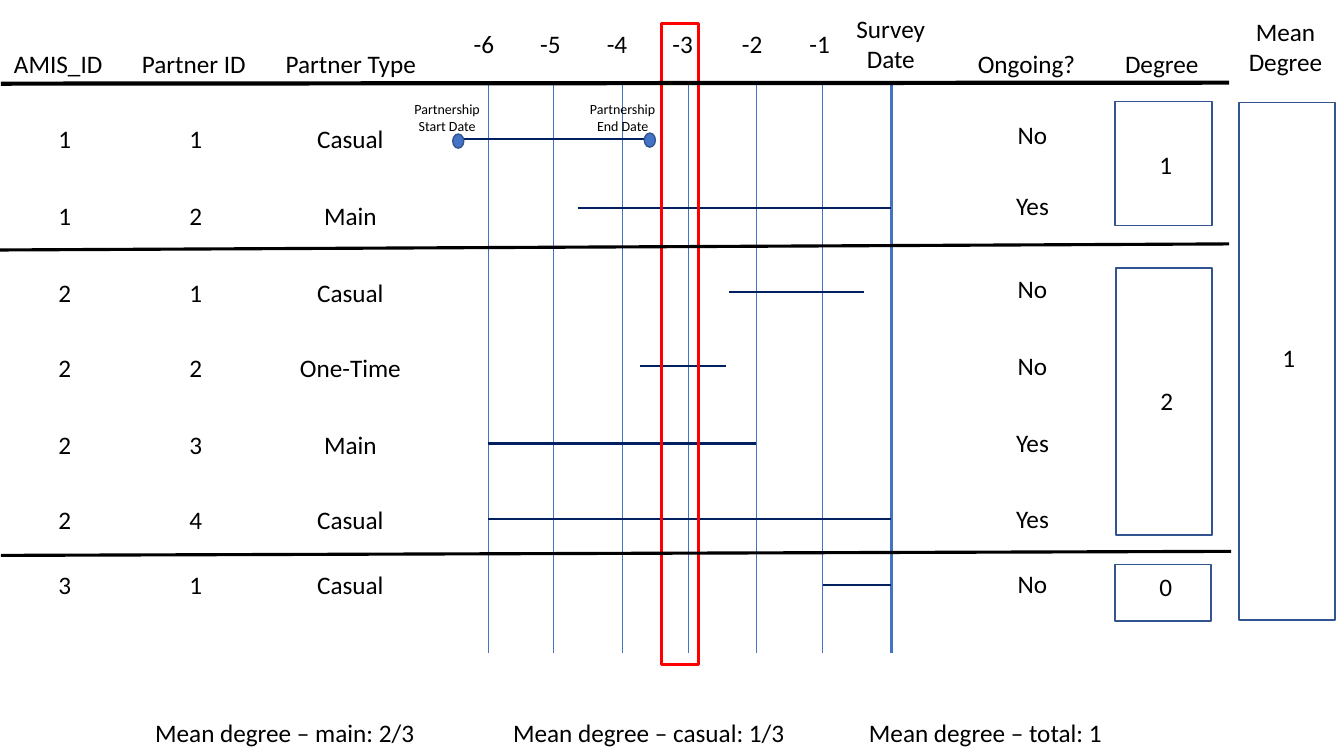
from dataclasses import dataclass

from lxml.etree import SubElement
from pptx import Presentation
from pptx.dml.color import RGBColor
from pptx.enum.shapes import MSO_CONNECTOR, MSO_SHAPE
from pptx.enum.text import PP_ALIGN
from pptx.oxml.ns import qn
from pptx.util import Pt

PX = 9144


@dataclass(frozen=True)
class Theme:
    """Colours, font and sizes of the slide."""
    font: str = "Calibri"
    body: int = 18
    small: int = 10
    ink: str = "000000"
    blue: str = "4472C4"
    outline: str = "325491"
    navy: str = "002060"
    red: str = "FF0000"


T = Theme()

ROWS = [
    (117, "1", "1", "Casual", 138, 457, 645, 113, "No"),
    (194, "1", "2", "Main", 206, 573, 884, 184, "Yes"),
    (270, "2", "1", "Casual", 290, 723, 857, 266, "No"),
    (345, "2", "2", "One-Time", 363, 635, 720, 343, "No"),
    (421, "2", "3", "Main", 440, 484, 750, 419, "Yes"),
    (495, "2", "4", "Casual", 515, 484, 884, 494, "Yes"),
    (560, "3", "1", "Casual", 580, 816, 884, 559, "No"),
]
HEADERS = [
    (4, 43, 112, "AMIS_ID", False),
    (131, 43, 127, "Partner ID", False),
    (273, 43, 150, "Partner Type", True),
    (839, 8, 89, "Survey\nDate", True),
    (960, 43, 127, "Ongoing?", False),
    (1106, 43, 96, "Degree", False),
    (1227, 11, 96, "Mean\nDegree", True),
]
MONTHS = [(484, 457, "-6"), (549, 523, "-5"), (617, 589, "-4"),
          (683, 654, "-3"), (750, 723, "-2"), (816, 790, "-1")]
DEGREES = [
    (1106, 101, 96, 123, 1140, 143, "1"),
    (1107, 266, 95, 265, 1141, 377, "2"),
    (1106, 560, 95, 56, 1140, 562, "0"),
    (1229, 102, 95, 513, 1262, 335, "1"),
]
RULES = [(1, 83, 1219, 82, 3), (0, 248, 1219, 242, 2.25),
         (1, 551, 1221, 547, 2.25)]
MEANS = [(144, 285, "Mean degree – main: 2/3"),
         (499, 320, "Mean degree – casual: 1/3"),
         (852, 269, "Mean degree – total: 1")]
ENDS = [(358, 449, 133, "Partnership\nStart Date"),
        (532, 639, 132, "Partnership\nEnd Date")]


def add_text(s, x, y, w, text, center=True, size=T.body):
    """Add a text box with one paragraph per line of text."""
    lines = text.count("\n") + 1
    h = 9 + round(lines * size * 1.72)
    tf = s.shapes.add_textbox(x * PX, y * PX, w * PX, h * PX).text_frame
    tf.word_wrap = True
    tf.margin_left = 0 if center else 10 * PX
    tf.margin_right = 0
    tf.text = text
    for p in tf.paragraphs:
        p.alignment = PP_ALIGN.CENTER if center else PP_ALIGN.LEFT
        for r in p.runs:
            r.font.name = T.font
            r.font.size = Pt(size)
            r.font.color.rgb = RGBColor.from_string(T.ink)


def add_line(s, x1, y1, x2, y2, color, width):
    """Add a straight line without a shadow."""
    c = s.shapes.add_connector(MSO_CONNECTOR.STRAIGHT,
                               x1 * PX, y1 * PX, x2 * PX, y2 * PX)
    c.line.color.rgb = RGBColor.from_string(color)
    c.line.width = Pt(width)
    SubElement(c._element.spPr, qn("a:effectLst"))


def add_outline(s, kind, x, y, w, h, color, width=1, fill=None):
    """Add an outlined shape, filled only when a fill is given."""
    sp = s.shapes.add_shape(kind, x * PX, y * PX, w * PX, h * PX)
    sp.shadow.inherit = False
    sp.line.color.rgb = RGBColor.from_string(color)
    sp.line.width = Pt(width)
    if fill:
        sp.fill.solid()
        sp.fill.fore_color.rgb = RGBColor.from_string(fill)
    else:
        sp.fill.background()


def add_timeline(s):
    """Add the month grid and its labels."""
    for x, label_x, month in MONTHS:
        add_line(s, x, 83, x, 648, T.blue, 0.5)
        add_text(s, label_x, 23, 46, month)
    add_line(s, 884, 83, 884, 648, T.blue, 2.25)


def add_row(s, y, amis, partner, kind, bar_y, start, end, ongoing_y, ongoing):
    """Add one partnership with its bar."""
    add_text(s, 48, y, 33, amis, False)
    add_text(s, 178, y, 33, partner, False)
    add_text(s, 285, y, 125, kind)
    add_line(s, start, bar_y, end, bar_y, T.navy, 1.5)
    add_text(s, 988, ongoing_y, 72, ongoing)


def add_degree(s, x, y, w, h, text_x, text_y, value):
    """Add a degree box and its value."""
    add_outline(s, MSO_SHAPE.RECTANGLE, x, y, w, h, T.outline)
    add_text(s, text_x, text_y, 29, value, False)


def main():
    """Build and save the slide."""
    prs = Presentation()
    prs.slide_width, prs.slide_height = 1333 * PX, 750 * PX
    s = prs.slides.add_slide(prs.slide_layouts[6])
    add_timeline(s)
    for x, y, w, text, center in HEADERS:
        add_text(s, x, y, w, text, center)
    for row in ROWS:
        add_row(s, *row)
    add_outline(s, MSO_SHAPE.RECTANGLE, 656, 23, 37, 636, T.red, 2.25)
    for x1, y1, x2, y2, width in RULES:
        add_line(s, x1, y1, x2, y2, T.ink, width)
    for degree in DEGREES:
        add_degree(s, *degree)
    for x, w, text in MEANS:
        add_text(s, x, 707, w, text, False)
    for x, dot_x, dot_y, text in ENDS:
        add_text(s, x, 95, 171, text, size=T.small)
        add_outline(s, MSO_SHAPE.OVAL, dot_x, dot_y, 11, 14, T.outline,
                    fill=T.blue)
    prs.save("out.pptx")


if __name__ == "__main__":
    main()
